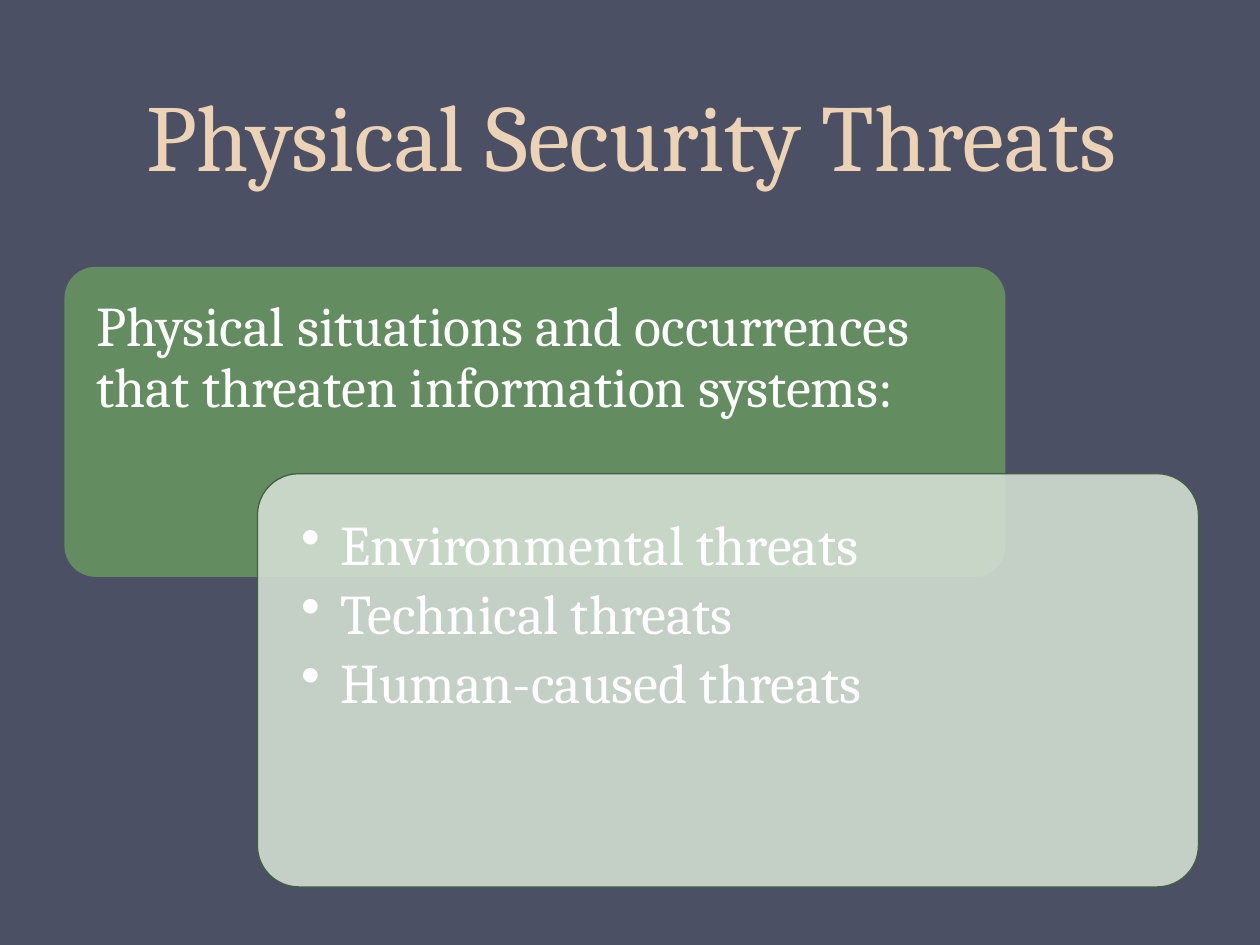
from lxml.etree import SubElement
from pptx import Presentation
from pptx.dml.color import RGBColor
from pptx.enum.shapes import MSO_SHAPE
from pptx.enum.text import MSO_ANCHOR, PP_ALIGN
from pptx.oxml.ns import qn
from pptx.util import Cm, Pt

SLATE = RGBColor(0x4B, 0x50, 0x64)
SAND = RGBColor(0xED, 0xD3, 0xB6)
GREEN = RGBColor(0x64, 0x8C, 0x61)
PALE_GREEN = RGBColor(0xD2, 0xDF, 0xD1)
DARK_GREEN = RGBColor(0x43, 0x5E, 0x40)
WHITE = RGBColor(0xFF, 0xFF, 0xFF)

FONT = "Cambria"
INSET = 0.64
BULLET_INDENT = 0.79
THREATS = ["Environmental threats", "Technical threats", "Human-caused threats"]


def add_text(slide, box, lines, frame_format, paragraph_format, size, color, bulleted=False):
    text_frame = slide.shapes.add_textbox(*map(Cm, box)).text_frame
    for name, value in {"word_wrap": True, **frame_format}.items():
        setattr(text_frame, name, value)
    text_frame.text = "\n".join(lines)
    for paragraph in text_frame.paragraphs:
        for name, value in paragraph_format.items():
            setattr(paragraph, name, value)
        if bulleted:
            add_bullet(paragraph)
        font_format = {"name": FONT, "size": Pt(size)}
        for name, value in font_format.items():
            setattr(paragraph.font, name, value)
        paragraph.font.color.rgb = color


def add_bullet(paragraph):
    properties = paragraph._p.get_or_add_pPr()
    properties.set("marL", str(Cm(BULLET_INDENT)))
    properties.set("indent", str(-Cm(BULLET_INDENT)))
    SubElement(properties, qn("a:buChar"), char="•")


def add_card(slide, box, color):
    card = slide.shapes.add_shape(MSO_SHAPE.ROUNDED_RECTANGLE, *map(Cm, box))
    card.shadow.inherit = False
    card.adjustments[0] = 0.1
    card.fill.solid()
    card.fill.fore_color.rgb = color
    card.line.fill.background()
    return card


def add_title(slide, box):
    add_text(slide, box, ["Physical Security Threats"],
             {"vertical_anchor": MSO_ANCHOR.BOTTOM},
             {"alignment": PP_ALIGN.CENTER, "line_spacing": Pt(58)}, 54, SAND)


def add_definition(slide, box, text_height):
    left, top, width, _ = box
    add_card(slide, box, GREEN)
    insets = dict.fromkeys(["margin_left", "margin_top", "margin_right"], Cm(INSET))
    add_text(slide, (left, top, width, text_height),
             ["Physical situations and occurrences that threaten information systems:"],
             insets, {"line_spacing": 0.9}, 32, WHITE)


def add_threat_list(slide, box):
    left, top, width, height = box
    card = add_card(slide, box, PALE_GREEN)
    fill_color = card.fill._xPr.find(qn("a:solidFill"))[0]
    SubElement(fill_color, qn("a:alpha"), val="90000")
    card.line.color.rgb = DARK_GREEN
    card.line.width = Pt(0.75)

    padding = 0.24
    insets = dict.fromkeys(
        ["margin_left", "margin_top", "margin_right", "margin_bottom"], Cm(INSET))
    add_text(slide,
             (left + padding, top + padding, width - 2 * padding, height - 2 * padding),
             THREATS, insets, {"line_spacing": 0.9, "space_after": Pt(4.8)},
             32, WHITE, bulleted=True)


def main():
    presentation = Presentation()
    presentation.slide_width, presentation.slide_height = Cm(25.4), Cm(19.05)
    slide = presentation.slides.add_slide(presentation.slide_layouts[6])
    slide.background.fill.solid()
    slide.background.fill.fore_color.rgb = SLATE

    add_title(slide, (1.3, -0.48, 22.86, 4.45))
    add_definition(slide, (1.3, 5.38, 18.97, 6.25), text_height=4.17)
    add_threat_list(slide, (5.19, 9.55, 18.97, 8.33))
    presentation.save("out.pptx")


if __name__ == "__main__":
    main()
